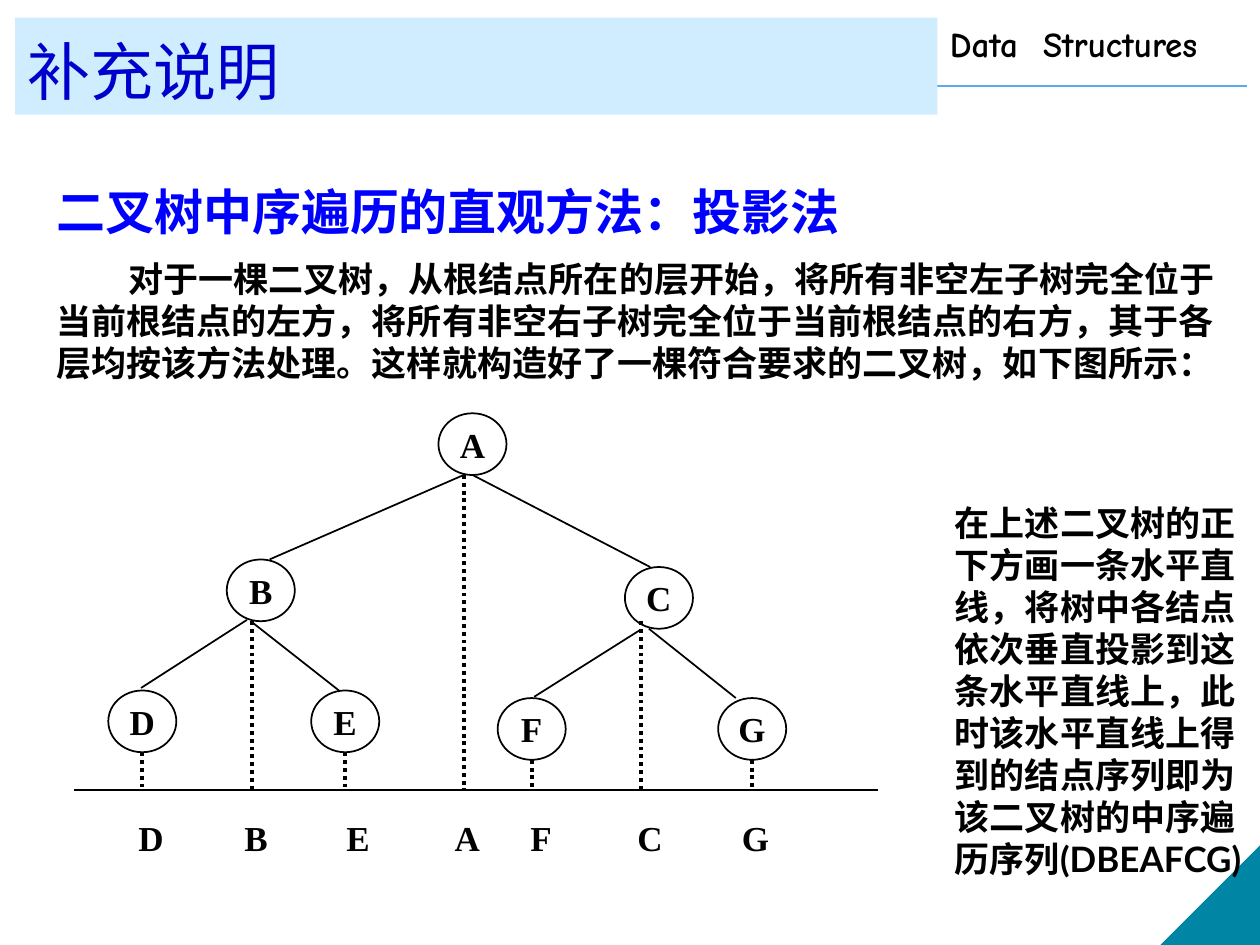
from dataclasses import dataclass

from lxml import etree
from pptx import Presentation
from pptx.dml.color import RGBColor
from pptx.enum import dml, shapes, text
from pptx.oxml.ns import qn
from pptx.util import Inches, Pt


@dataclass(frozen=True)
class Theme:
    ink: str = "000000"
    paper: str = "FFFFFF"
    band: str = "CFEDFE"
    title: str = "0000CC"
    heading: str = "0000FF"
    rule: str = "5AAAED"
    corner: str = "0085A4"
    title_size: int = 36
    heading_size: int = 28
    body_size: int = 20
    sans: str = "Lato"
    serif: str = "Times New Roman"
    comic: str = "Comic Neue"


THEME = Theme()
NODE_W, NODE_H = 0.54, 0.49
NODES = {
    "A": (2.89, 0), "B": (1.21, 1.16), "C": (4.37, 1.22), "D": (0.27, 2.2),
    "E": (1.88, 2.2), "F": (3.36, 2.26), "G": (5.11, 2.26),
}
BRANCHES = [
    ((3.09, 0.49), (1.55, 1.16)), ((3.16, 0.49), (4.57, 1.22)),
    ((1.37, 1.64), (0.53, 2.18)), ((1.4, 1.65), (2.1, 2.2)),
    ((4.49, 1.72), (3.65, 2.25)), ((4.56, 1.71), (5.25, 2.26)),
]
PROJECTIONS = [
    ("D", 0.54, 2.69, 0.41), ("B", 1.41, 1.65, 1.25), ("E", 2.15, 2.69, 2.06),
    ("A", 3.09, 0.49, 2.92), ("F", 3.63, 2.75, 3.52), ("C", 4.5, 1.65, 4.37),
    ("G", 5.38, 2.75, 5.2),
]
BASELINE = 2.99


def style(paragraph, size, font, color=THEME.ink, bold=True):
    for run in paragraph.runs:
        run.font.size = Pt(size)
        run.font.name = font
        run.font.bold = bold
        run.font.color.rgb = RGBColor.from_string(color)


def add_tabs(paragraph, stops):
    tabs = etree.SubElement(paragraph._p.get_or_add_pPr(), qn("a:tabLst"))
    for stop in stops:
        etree.SubElement(tabs, qn("a:tab"), pos=str(Inches(stop)), algn="l")


def add_text(parent, box, *lines):
    frame = parent.add_textbox(*map(Inches, box)).text_frame
    frame.word_wrap = True
    frame.text = "\n".join(lines)
    return frame.paragraphs


def add_line(parent, start, end, color=THEME.ink, width=1, dotted=False):
    line = parent.add_connector(
        shapes.MSO_CONNECTOR.STRAIGHT, *map(Inches, (*start, *end)))
    line.line.color.rgb = RGBColor.from_string(color)
    line.line.width = Pt(width)
    if dotted:
        line.line.dash_style = dml.MSO_LINE.ROUND_DOT
    etree.SubElement(line._element.spPr, qn("a:effectLst"))


def add_solid(parent, kind, box, fill, outline=None):
    solid = parent.add_shape(kind, *map(Inches, box))
    solid.shadow.inherit = False
    solid.fill.solid()
    solid.fill.fore_color.rgb = RGBColor.from_string(fill)
    if outline:
        solid.line.color.rgb = RGBColor.from_string(outline)
        solid.line.width = Pt(1)
    else:
        solid.line.fill.background()
    return solid


def add_header(parent, left, top, width, height):
    band_width = 7.32
    add_line(parent, (left + band_width, top + 0.54), (left + width, top + 0.54), THEME.rule)
    course = add_text(parent, (left + band_width, top - 0.01, 2.6, 0.43), "Data\tStructures")[0]
    add_tabs(course, [0.74])
    style(course, THEME.body_size, THEME.comic)

    band = add_solid(parent, shapes.MSO_SHAPE.RECTANGLE,
                     (left, top, band_width, height), THEME.band)
    band.text_frame.vertical_anchor = text.MSO_ANCHOR.BOTTOM
    band.text_frame.text = "补充说明"
    title = band.text_frame.paragraphs[0]
    title.alignment = text.PP_ALIGN.LEFT
    style(title, THEME.title_size, THEME.sans, THEME.title, bold=False)


def add_corner(parent, *box):
    corner = add_solid(parent, shapes.MSO_SHAPE.RIGHT_TRIANGLE, box, THEME.corner)
    corner._element.spPr.get_or_add_xfrm().set("flipH", "1")


def add_method(parent, *box):
    heading, method = add_text(
        parent, box, "二叉树中序遍历的直观方法：投影法",
        "对于一棵二叉树，从根结点所在的层开始，将所有非空左子树完全位于当前根结点的左方，"
        "将所有非空右子树完全位于当前根结点的右方，其于各层均按该方法处理。"
        "这样就构造好了一棵符合要求的二叉树，如下图所示：")
    style(heading, THEME.heading_size, THEME.serif, THEME.heading)
    method.space_before = Pt(10)
    method._p.get_or_add_pPr().set("indent", str(Inches(0.57)))
    style(method, THEME.body_size, THEME.serif)


def add_tree(parent, left, top, width, height):
    tree = parent.add_group_shape().shapes

    def at(x, y):
        return left + x, top + y

    add_line(tree, at(0, BASELINE), at(width, BASELINE))
    for start, end in BRANCHES:
        add_line(tree, at(*start), at(*end))
    for letter, corner in NODES.items():
        node = add_solid(tree, shapes.MSO_SHAPE.OVAL,
                         (*at(*corner), NODE_W, NODE_H), THEME.paper, THEME.ink)
        node.text_frame.word_wrap = False
        node.text_frame.vertical_anchor = text.MSO_ANCHOR.MIDDLE
        node.text_frame.text = letter
        node.text_frame.paragraphs[0].alignment = text.PP_ALIGN.CENTER
        style(node.text_frame.paragraphs[0], THEME.body_size, THEME.serif)
    for _, x, y, _ in PROJECTIONS:
        add_line(tree, at(x, y), at(x, BASELINE), width=2.25, dotted=True)

    label_height = 0.47
    sequence = add_text(tree, (left, top + height - label_height, width, label_height),
                        "".join("\t" + letter for letter, *_ in PROJECTIONS))[0]
    add_tabs(sequence, [stop for *_, stop in PROJECTIONS])
    style(sequence, THEME.body_size, THEME.serif)


def add_conclusion(parent, *box):
    conclusion = add_text(
        parent, box,
        "在上述二叉树的正下方画一条水平直线，将树中各结点依次垂直投影到这条水平直线上，"
        "此时该水平直线上得到的结点序列即为该二叉树的中序遍历序列(DBEAFCG)")[0]
    style(conclusion, THEME.body_size, THEME.sans)


def main():
    deck = Presentation()
    deck.slide_width, deck.slide_height = Inches(10), Inches(7.5)
    parts = deck.slides.add_slide(deck.slide_layouts[6]).shapes
    add_header(parts, 0.12, 0.14, 9.78, 0.77)
    add_corner(parts, 9.21, 6.71, 0.79, 0.79)
    add_method(parts, 0.35, 1.39, 9.53, 1.75)
    add_tree(parts, 0.59, 3.28, 6.38, 3.62)
    add_conclusion(parts, 7.48, 3.93, 2.48, 3.47)
    deck.save("out.pptx")


if __name__ == "__main__":
    main()
